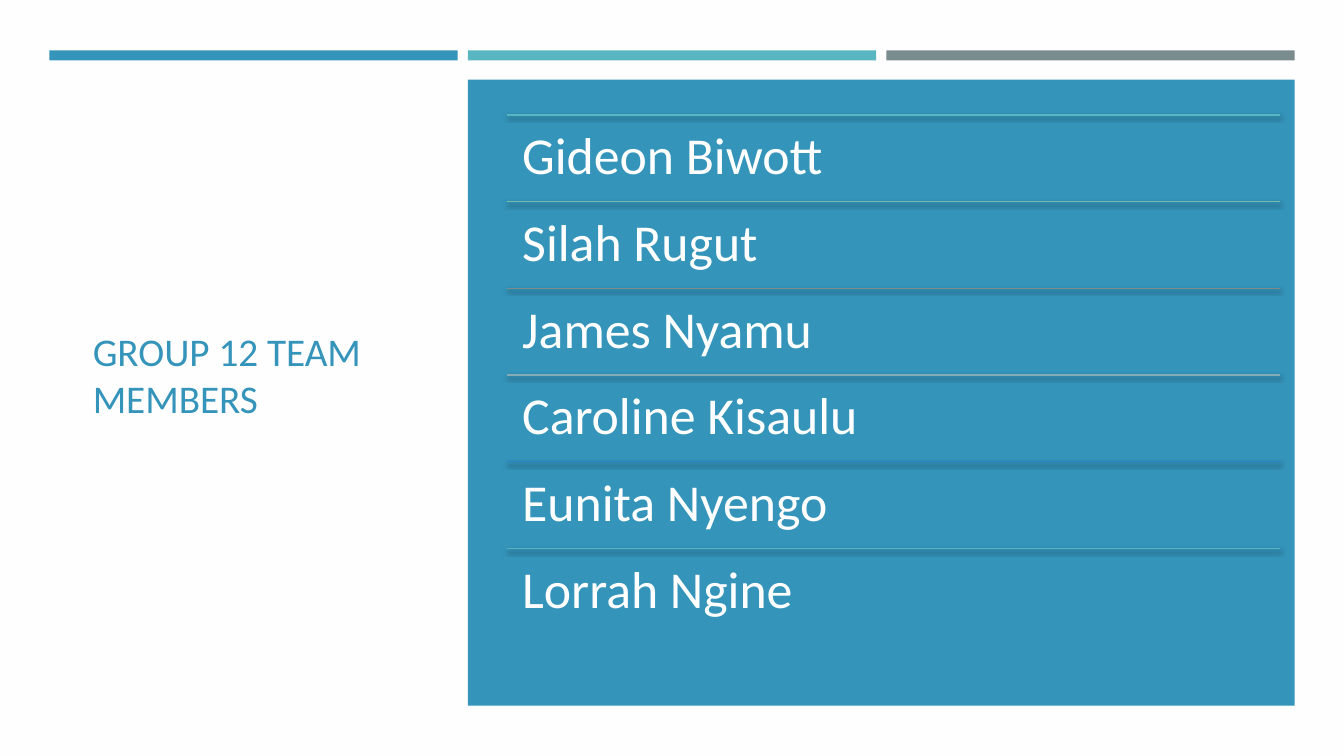
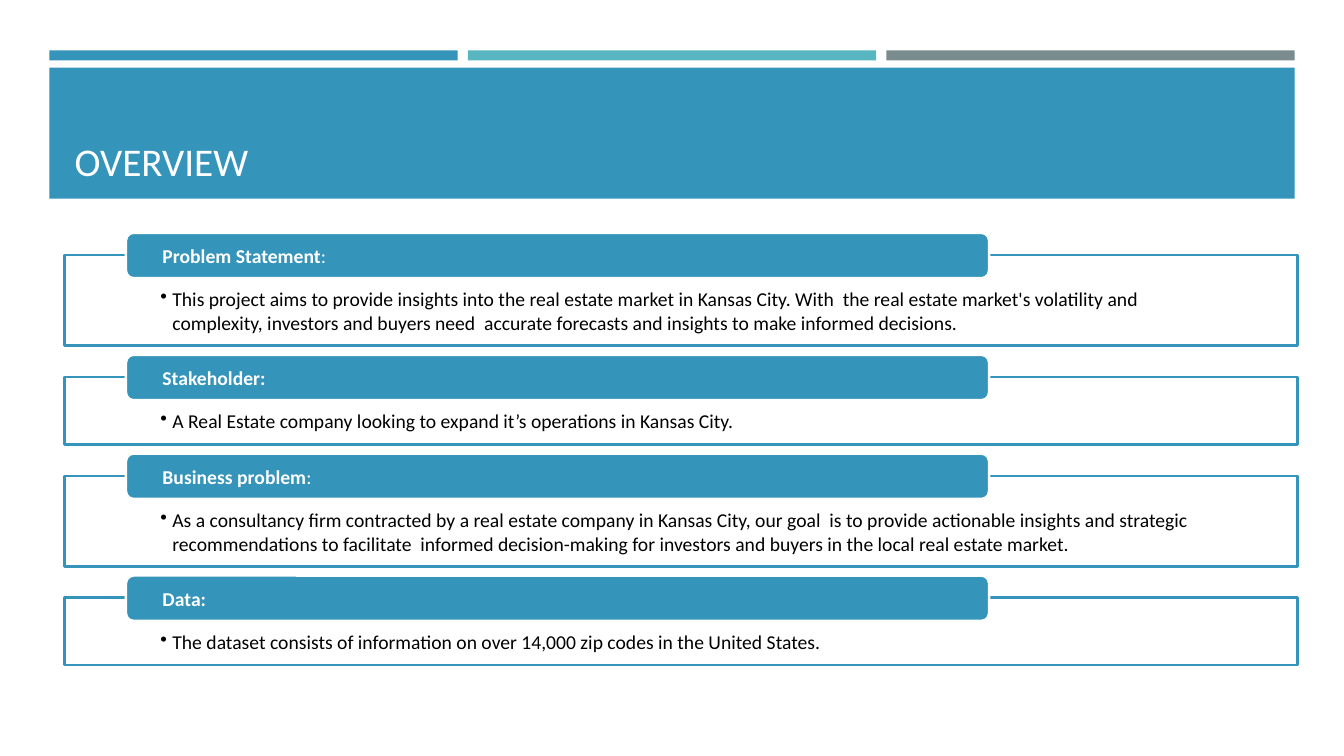
from dataclasses import dataclass

from lxml import etree
from pptx import Presentation
from pptx import util as u
from pptx.dml.color import RGBColor
from pptx.enum import shapes, text
from pptx.oxml import ns

BLUE = RGBColor(0x34, 0x94, 0xBA)
TEAL = RGBColor(0x58, 0xB6, 0xC0)
GREY = RGBColor(0x7A, 0x8C, 0x8E)
GREEN = RGBColor(0x75, 0xBD, 0xA7)
MIST = RGBColor(0x84, 0xAC, 0xB6)
ROYAL = RGBColor(0x26, 0x83, 0xC6)
WHITE = RGBColor(0xFF, 0xFF, 0xFF)
OFF_WHITE = RGBColor(0xFF, 0xFE, 0xFF)
BLACK = RGBColor(0, 0, 0)

FONT = "Calibri"
SLIDE_WIDTH, SLIDE_HEIGHT = 13.33, 7.5
TITLE_ONLY = 5

# Three columns, in inches
GRID_LEFT, COLUMN_WIDTH, GUTTER = 0.49, 4.05, 0.1
BAR_TOP, BAR_HEIGHT = 0.5, 0.1
BAR_COLORS = (BLUE, TEAL, GREY)

# Member list on the first slide
MEMBER_LEFT, MEMBER_TOP, MEMBER_WIDTH, MEMBER_HEIGHT = 5.03, 1.14, 7.67, 0.86

# Topic panels on the second slide
PANEL_LEFT, PANEL_TOP, PANEL_WIDTH, PANEL_GAP = 0.64, 2.53, 12.23, 0.31
PANEL_BASE, TEXT_LINE = 0.44, 0.23
TAB_LEFT, TAB_WIDTH, TAB_HEIGHT, TAB_RISE = 1.25, 8.56, 0.45, 0.22
BULLET_INDENT = 0.12


@dataclass(frozen=True)
class Box:
    left: float
    top: float
    width: float
    height: float

    def lengths(self) -> tuple:
        return tuple(u.Inches(n) for n in (self.left, self.top, self.width, self.height))


@dataclass(frozen=True)
class Member:
    name: str
    rule_color: RGBColor


@dataclass(frozen=True)
class Topic:
    heading: str
    body: str
    lines: int
    bold_colon: bool = True


MEMBERS = (
    Member("Gideon Biwott", TEAL),
    Member("Silah Rugut", GREEN),
    Member("James Nyamu", GREY),
    Member("Caroline Kisaulu", MIST),
    Member("Eunita Nyengo", ROYAL),
    Member("Lorrah Ngine", TEAL),
)

TOPICS = (
    Topic(
        "Problem Statement",
        "This project aims to provide insights into the real estate market in Kansas City. "
        "With  the real estate market's volatility and complexity, investors and buyers need  "
        "accurate forecasts and insights to make informed decisions.",
        lines=2,
        bold_colon=False,
    ),
    Topic(
        "Stakeholder",
        "A Real Estate company looking to expand it’s operations in Kansas City.",
        lines=1,
    ),
    Topic(
        "Business problem",
        "As a consultancy firm contracted by a real estate company in Kansas City, our goal  "
        "is to provide actionable insights and strategic recommendations to facilitate  "
        "informed decision-making for investors and buyers in the local real estate market.",
        lines=2,
        bold_colon=False,
    ),
    Topic(
        "Data",
        "The dataset consists of information on over 14,000 zip codes in the United States.",
        lines=1,
    ),
)


def columns(first: int, count: int, top: float, height: float) -> Box:
    """Box that covers count grid columns, starting at column first."""
    pitch = COLUMN_WIDTH + GUTTER
    return Box(GRID_LEFT + first * pitch, top, count * pitch - GUTTER, height)


def add_filled(slide, box: Box, fill: RGBColor, line: RGBColor | None = None,
               kind=shapes.MSO_SHAPE.RECTANGLE):
    shape = slide.shapes.add_shape(kind, *box.lengths())
    shape.shadow.inherit = False
    shape.fill.solid()
    shape.fill.fore_color.rgb = fill
    if line is None:
        shape.line.fill.background()
    else:
        shape.line.color.rgb = line
        shape.line.width = u.Pt(1.75)
    return shape


def format_frame(frame, size: float, color: RGBColor, anchor, insets: tuple) -> None:
    """Format a frame already filled with text; insets are left, top, right, bottom."""
    frame.word_wrap = True
    frame.auto_size = text.MSO_AUTO_SIZE.NONE
    frame.vertical_anchor = anchor
    (frame.margin_left, frame.margin_top,
     frame.margin_right, frame.margin_bottom) = map(u.Inches, insets)
    for para in frame.paragraphs:
        para.alignment = text.PP_ALIGN.LEFT
        for span in para.runs:
            span.font.name = FONT
            span.font.size = u.Pt(size)
            span.font.color.rgb = color


def add_slide(deck, background: RGBColor):
    slide = deck.slides.add_slide(deck.slide_layouts[TITLE_ONLY])
    slide.background.fill.solid()
    slide.background.fill.fore_color.rgb = background
    for column, color in enumerate(BAR_COLORS):
        add_filled(slide, columns(column, 1, BAR_TOP, BAR_HEIGHT), color)
    return slide


def place_title(slide, wording: str, box: Box, color: RGBColor, anchor) -> None:
    title = slide.shapes.title
    title.left, title.top, title.width, title.height = box.lengths()
    title.text_frame.text = wording
    format_frame(title.text_frame, 28, color, anchor, (0.1, 0.05, 0.1, 0.05))
    # Bring the title in front of the bands
    slide.shapes._spTree.append(title._element)


def add_rule(slide, left: float, top: float, width: float, color: RGBColor) -> None:
    """Horizontal line with a soft shadow below it."""
    rule = slide.shapes.add_connector(
        shapes.MSO_CONNECTOR.STRAIGHT,
        *map(u.Inches, (left, top, left + width, top)),
    )
    rule.line.color.rgb = color
    rule.line.width = u.Pt(1)
    effects = etree.SubElement(rule._element.spPr, ns.qn("a:effectLst"))
    shadow = etree.SubElement(
        effects, ns.qn("a:outerShdw"),
        blurRad=str(u.Pt(3)), dist=str(u.Pt(2)), dir="5400000", rotWithShape="0",
    )
    shade = etree.SubElement(shadow, ns.qn("a:srgbClr"), val=str(BLACK))
    etree.SubElement(shade, ns.qn("a:alpha"), val="55000")


def add_member(slide, member: Member, top: float) -> None:
    add_rule(slide, MEMBER_LEFT, top, MEMBER_WIDTH, member.rule_color)
    row = Box(MEMBER_LEFT, top, MEMBER_WIDTH, MEMBER_HEIGHT)
    frame = slide.shapes.add_textbox(*row.lengths()).text_frame
    frame.text = member.name
    frame.paragraphs[0].line_spacing = 0.9
    format_frame(frame, 37, WHITE, text.MSO_ANCHOR.TOP, (0.15,) * 4)


def add_bullet(para) -> None:
    properties = para._p.get_or_add_pPr()
    properties.set("marL", str(u.Inches(BULLET_INDENT)))
    properties.set("indent", str(-u.Inches(BULLET_INDENT)))
    etree.SubElement(properties, ns.qn("a:buChar"), char="•")


def add_topic(slide, topic: Topic, top: float) -> float:
    """Draw a panel with its heading tab and return the panel's bottom."""
    height = PANEL_BASE + topic.lines * TEXT_LINE
    panel = add_filled(slide, Box(PANEL_LEFT, top, PANEL_WIDTH, height), WHITE, BLUE)
    fill_color = panel._element.spPr.find(ns.qn("a:solidFill"))[0]
    etree.SubElement(fill_color, ns.qn("a:alpha"), val="90000")
    panel.text_frame.text = topic.body
    format_frame(panel.text_frame, 14, BLACK, text.MSO_ANCHOR.TOP, (0.95, 0.32, 0.95, 0.11))
    add_bullet(panel.text_frame.paragraphs[0])

    tab = add_filled(slide, Box(TAB_LEFT, top - TAB_RISE, TAB_WIDTH, TAB_HEIGHT), BLUE, WHITE,
                     shapes.MSO_SHAPE.ROUNDED_RECTANGLE)
    para = tab.text_frame.paragraphs[0]
    for wording, bold in ((topic.heading, True), (":", topic.bold_colon)):
        span = para.add_run()
        span.text = wording
        span.font.bold = bold
    format_frame(tab.text_frame, 14, WHITE, text.MSO_ANCHOR.MIDDLE, (0.34, 0, 0.34, 0))
    return top + height


def build_team(deck) -> None:
    slide = add_slide(deck, OFF_WHITE)
    add_filled(slide, columns(1, 2, 0.79, 6.21), BLUE)
    place_title(slide, "GROUP 12 TEAM MEMBERS", Box(0.82, 1.14, 3.34, 5.15),
                BLUE, text.MSO_ANCHOR.MIDDLE)
    for row, member in enumerate(MEMBERS):
        add_member(slide, member, MEMBER_TOP + row * MEMBER_HEIGHT)


def build_overview(deck) -> None:
    slide = add_slide(deck, WHITE)
    add_filled(slide, columns(0, 3, 0.67, 1.3), BLUE)
    place_title(slide, "OVERVIEW", Box(0.64, 0.77, 12.06, 1.11),
                WHITE, text.MSO_ANCHOR.BOTTOM)
    top = PANEL_TOP
    for topic in TOPICS:
        top = add_topic(slide, topic, top) + PANEL_GAP


def main() -> None:
    deck = Presentation()
    deck.slide_width = u.Inches(SLIDE_WIDTH)
    deck.slide_height = u.Inches(SLIDE_HEIGHT)
    build_team(deck)
    build_overview(deck)
    deck.save("out.pptx")


if __name__ == "__main__":
    main()
